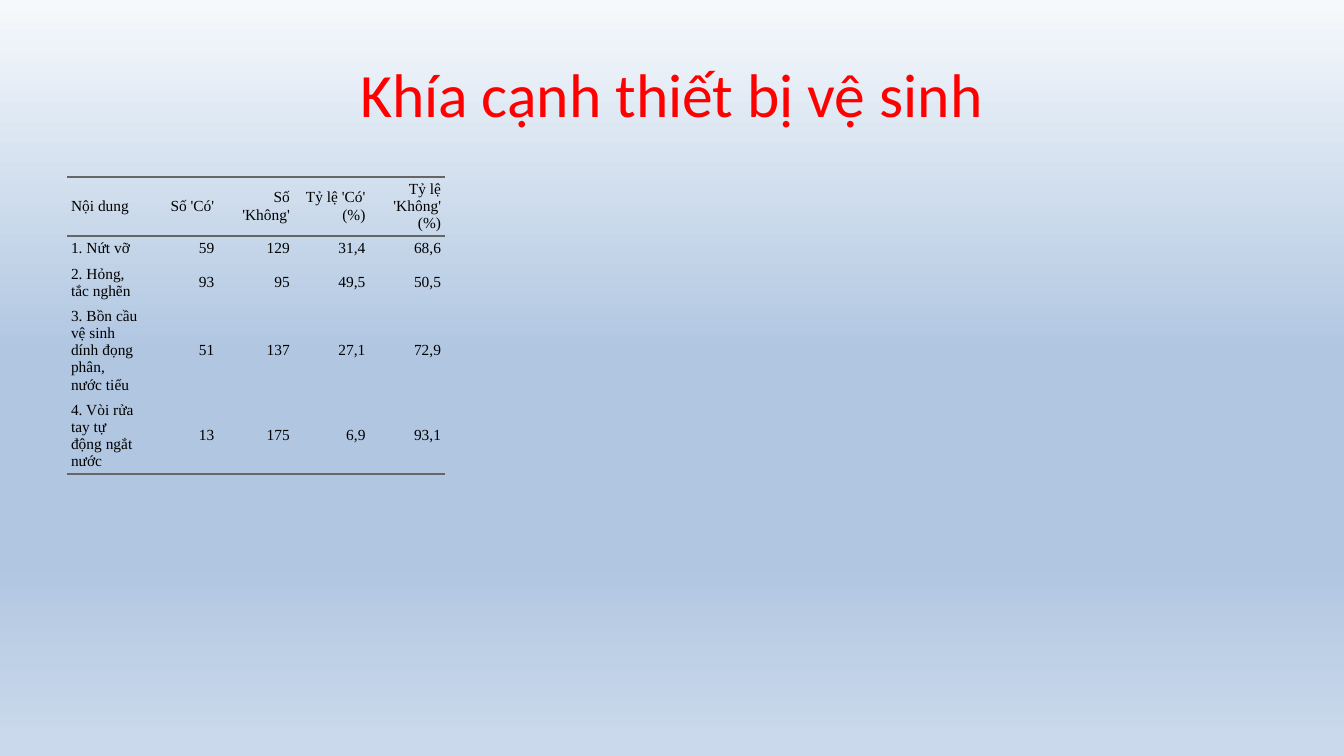
from dataclasses import dataclass

from lxml.etree import SubElement
from pptx import Presentation
from pptx.dml.color import RGBColor
from pptx.enum.text import MSO_ANCHOR as Anchor, PP_ALIGN as Align
from pptx.oxml.ns import qn
from pptx.util import Cm, Pt

RED = RGBColor(0xFF, 0x00, 0x00)
BLACK = RGBColor(0x00, 0x00, 0x00)
GRAY = RGBColor(0x66, 0x66, 0x66)
ICE = RGBColor(0xF6, 0xF9, 0xFC)
BLUE = RGBColor(0xB0, 0xC6, 0xE1)
PALE = RGBColor(0xCA, 0xD9, 0xEB)

STOPS = ((0, ICE), (47, BLUE), (74, BLUE), (98, PALE))
PLAIN = "{2D5ABB26-0587-4C30-8999-92F81FD0307C}"
SIDE, PAD = Cm(1.69), Cm(0.1)
COL, ROW = Cm(1.905), Cm(0.64)
CELL = {"margin_left": 0, "margin_right": 0, "margin_top": PAD,
        "margin_bottom": PAD, "vertical_anchor": Anchor.MIDDLE}
GAPS = {"space_before": Pt(3), "space_after": Pt(3)}


@dataclass(frozen=True)
class Line:
    """One table row and the sides that carry a rule."""
    texts: tuple[str, ...]
    rules: tuple[str, ...] = ()


LINES = (
    Line(("Nội dung", "Số 'Có'", "Số 'Không'", "Tỷ lệ 'Có' (%)",
          "Tỷ lệ 'Không' (%)"), ("lnT", "lnB")),
    Line(("1. Nứt vỡ", "59", "129", "31,4", "68,6")),
    Line(("2. Hỏng, tắc nghẽn", "93", "95", "49,5", "50,5")),
    Line(("3. Bồn cầu vệ sinh dính đọng phân, nước tiểu",
          "51", "137", "27,1", "72,9")),
    Line(("4. Vòi rửa tay tự động ngắt nước",
          "13", "175", "6,9", "93,1"), ("lnB",)),
)


def put(item, vals: dict) -> None:
    for key, val in vals.items():
        setattr(item, key, val)


def style(font, name: str, size: float, color: RGBColor) -> None:
    put(font, {"name": name, "size": Pt(size)})
    font.color.rgb = color


def add_color(node, color: RGBColor) -> None:
    SubElement(node, qn("a:srgbClr")).set("val", str(color))


def paint(slide) -> None:
    """Fill the background from top to bottom."""
    fill = slide.background.fill
    fill.gradient()
    fill.gradient_angle = 270
    stops = next(slide.element.iter(qn("a:gsLst")))
    for old in list(stops):
        stops.remove(old)
    for pos, color in STOPS:
        stop = SubElement(stops, qn("a:gs"), pos=str(pos * 1000))
        add_color(stop, color)


def add_title(slide) -> None:
    title = slide.shapes.title
    put(title, {"left": SIDE, "top": Cm(0.76),
                "width": Cm(30.48), "height": Cm(3.18)})
    frame = title.text_frame
    put(frame, {"text": "Khía cạnh thiết bị vệ sinh",
                "vertical_anchor": Anchor.MIDDLE})
    para = frame.paragraphs[0]
    para.alignment = Align.CENTER
    style(para.runs[0].font, "Calibri", 44, RED)


def fill_cell(cell, text: str, side: Align, rules: tuple[str, ...]) -> None:
    put(cell, CELL | {"text": text})
    para = cell.text_frame.paragraphs[0]
    put(para, GAPS | {"alignment": side})
    props = para._p.get_or_add_pPr()
    for key, val in {"marL": PAD, "marR": PAD, "indent": 0}.items():
        props.set(key, str(int(val)))
    style(para.runs[0].font, "Times New Roman", 11, BLACK)
    edges = cell._tc.get_or_add_tcPr()
    for rule in rules:
        edge = SubElement(edges, qn(f"a:{rule}"), w=str(Pt(1.5)))
        add_color(SubElement(edge, qn("a:solidFill")), GRAY)
    cell.fill.background()


def add_grid(slide) -> None:
    rows, cols = len(LINES), len(LINES[0].texts)
    grid = slide.shapes.add_table(rows, cols, SIDE, Cm(4.45),
                                  COL * cols, ROW * rows).table
    put(grid, {"first_row": False, "horz_banding": False})
    next(grid._tbl.iter(qn("a:tableStyleId"))).text = PLAIN
    for row, line in enumerate(LINES):
        for col, text in enumerate(line.texts):
            side = Align.RIGHT if col else Align.LEFT
            fill_cell(grid.cell(row, col), text, side, line.rules)


def main() -> None:
    deck = Presentation()
    put(deck, {"slide_width": Cm(33.87), "slide_height": Cm(19.05)})
    slide = deck.slides.add_slide(deck.slide_layouts[5])
    paint(slide)
    add_title(slide)
    add_grid(slide)
    deck.save("out.pptx")


if __name__ == "__main__":
    main()
